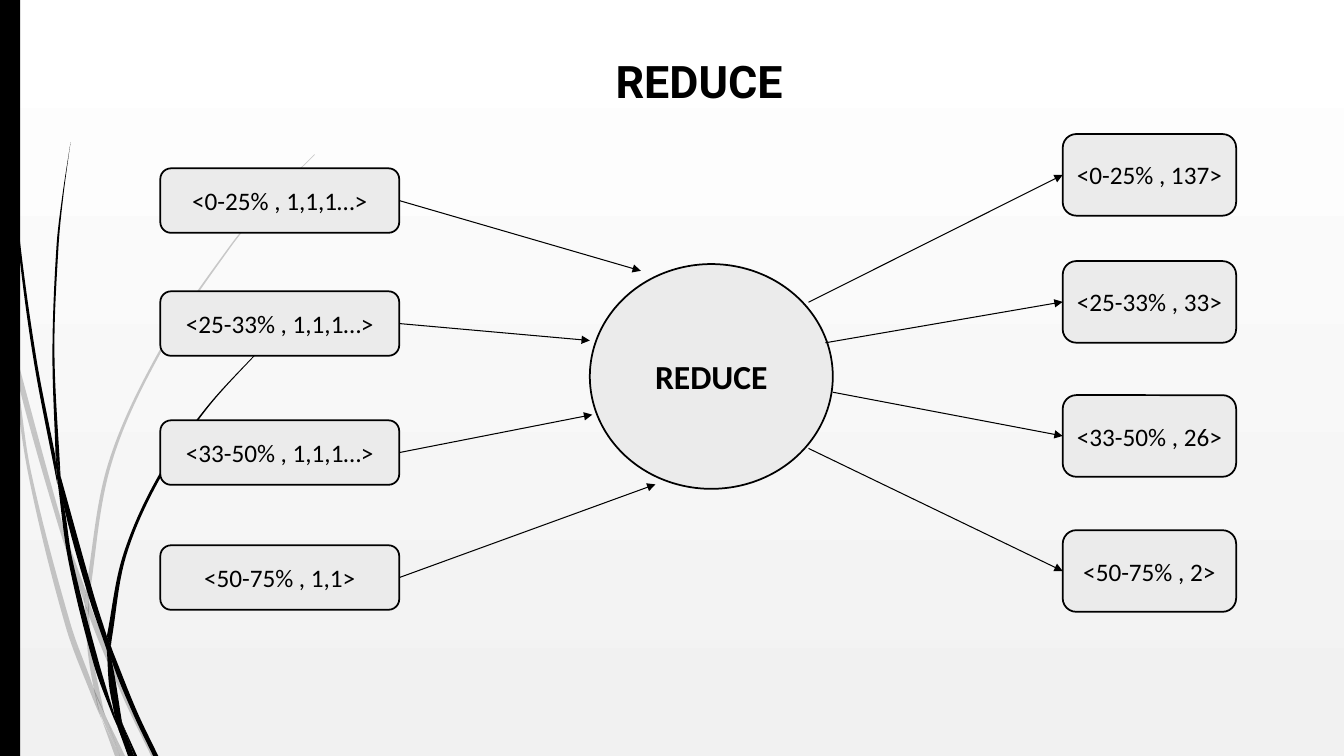
from collections import namedtuple
from dataclasses import dataclass
from math import dist

from lxml.etree import SubElement
from pptx import Presentation
from pptx.dml.color import RGBColor as RGB
from pptx.enum.shapes import MSO_CONNECTOR as Connector, MSO_SHAPE as Preset
from pptx.enum.text import MSO_ANCHOR as Anchor, PP_ALIGN as Align
from pptx.oxml.ns import qn
from pptx.util import Inches, Pt

Box = namedtuple("Box", "left top width height")


@dataclass(frozen=True)
class Theme:
    ink = RGB(0x00, 0x00, 0x00)
    panel = RGB(0xEB, 0xEB, 0xEB)
    sky = RGB(0xFF, 0xFF, 0xFF)
    ground = RGB(0xF1, 0xF1, 0xF1)
    title_font, body_font = "Roboto", "Calibri"
    title_size, hub_size, pair_size = Pt(32), Pt(24), Pt(18)
    outline, arrow = Pt(1.25), Pt(0.75)
    pale_opacity = 20


THEME = Theme()
SLIDE = Box(0, 0, 13.33, 7.5)
TITLE = Box(5.04, 0.48, 3.79, 0.64)
HUB = Box(5.85, 2.62, 2.41, 2.23)
INPUTS = Box(1.59, 1.67, 2.37, 4.38)
OUTPUTS = Box(10.54, 1.33, 1.72, 4.74)

# Each pair: text, offset from the column top, arrow contact as shares of the hub
INPUT_PAIRS = [
    ("<0-25% , 1,1,1…>", 0, (0.21, 0.03)),
    ("<25-33% , 1,1,1…>", 1.22, (0, 0.34)),
    ("<33-50% , 1,1,1…>", 2.5, (0.01, 0.67)),
    ("<50-75% , 1,1>", 3.74, (0.27, 0.98)),
]
OUTPUT_PAIRS = [
    ("<0-25% , 137>", 0, (0.9, 0.17)),
    ("<25-33% , 33>", 1.26, (0.97, 0.35)),
    ("<33-50% , 26>", 2.59, (1, 0.57)),
    ("<50-75% , 2>", 3.93, (0.9, 0.82)),
]

# Each piece of grass: its left edge and its right edge, from tip to root
PALE_GRASS = [
    ([(0, 2.99), (0.1, 3.44), (0.11, 3.5)], [(0, 2.82), (0.09, 3.22), (0.11, 3.5)]),
    ([(0.14, 3.45), (0.17, 3.76), (0.58, 5.22), (0.84, 5.99)], [(0.14, 3.45), (0.62, 5.2), (0.85, 5.86)]),
    ([(0.88, 5.96), (0.88, 6.1), (1.23, 6.94), (1.5, 7.5)],
     [(0.88, 5.96), (0.92, 6.07), (1.27, 6.92), (1.55, 7.5)]),
    ([(1.05, 7.11), (1.19, 7.5)], [(1.05, 7.11), (1.24, 7.5)]),
    ([(0.11, 3.5), (0.28, 4.7), (0.65, 6.21), (0.92, 6.93), (1.01, 7.14)],
     [(0.11, 3.5), (0.17, 3.76), (0.31, 4.69), (0.7, 6.19), (0.93, 6.83), (0.99, 7.07)]),
    ([(0.84, 5.99), (0.87, 6.46), (0.93, 6.83), (0.96, 6.92), (1.05, 7.11)],
     [(0.84, 5.99), (0.88, 6.08), (0.91, 6.46), (1.03, 7.06)]),
    ([(3.12, 1.53), (2.68, 1.97), (2.28, 2.44), (1.58, 3.48), (1.07, 4.61), (0.85, 5.86)],
     [(3.12, 1.54), (2.68, 1.98), (2.29, 2.45), (1.6, 3.49), (1.1, 4.62), (0.88, 5.96)]),
    ([(1.01, 7.14), (1.14, 7.5)], [(1.01, 7.14), (1.19, 7.5)]),
    ([(0.85, 5.86), (0.84, 5.99), (0.88, 6.08)], [(0.85, 5.86), (0.88, 5.96), (0.88, 6.1)]),
    ([(0.93, 6.83), (0.99, 7.07), (1.19, 7.5)], [(0.93, 6.83), (1.05, 7.11), (1.19, 7.5)]),
]
DARK_GRASS = [
    ([(0.03, 0), (0.07, 1.1), (0.17, 2.33), (0.33, 3.55), (0.57, 4.81)],
     [(0.04, 0), (0.08, 1.09), (0.19, 2.32), (0.36, 3.55), (0.55, 4.53)]),
    ([(0.6, 4.72), (0.64, 5.05), (0.88, 5.92), (1.06, 6.45)], [(0.6, 4.72), (0.93, 5.9), (1.06, 6.31)]),
    ([(1.1, 6.41), (1.11, 6.56), (1.32, 7.08), (1.52, 7.5)],
     [(1.1, 6.41), (1.13, 6.49), (1.36, 7.06), (1.57, 7.5)]),
    ([(0.57, 4.77), (0.68, 5.57), (0.93, 6.59), (1.11, 7.08), (1.17, 7.22)],
     [(0.57, 4.77), (0.64, 5.05), (0.72, 5.56), (0.98, 6.57), (1.16, 7.17)]),
    ([(0.7, 1.41), (0.62, 1.93), (0.56, 2.45), (0.52, 3.49), (0.55, 4.49)],
     [(0.7, 1.41), (0.63, 1.93), (0.58, 2.45), (0.54, 3.49), (0.6, 4.72)]),
    ([(1.22, 7.19), (1.33, 7.5)], [(1.22, 7.19), (1.36, 7.5)]),
    ([(0.55, 4.49), (0.57, 4.77), (0.64, 5.05)], [(0.55, 4.49), (0.6, 4.72), (0.64, 5.05)]),
    ([(2.6, 3.44), (2.04, 4.05), (1.56, 4.74), (1.22, 5.51), (1.06, 6.31)],
     [(2.61, 3.44), (2.05, 4.06), (1.58, 4.76), (1.25, 5.52), (1.11, 6.33), (1.1, 6.41)]),
    ([(1.17, 7.22), (1.27, 7.5)], [(1.17, 7.22), (1.31, 7.5)]),
    ([(1.06, 6.45), (1.1, 6.91), (1.22, 7.19)], [(1.06, 6.45), (1.11, 6.56), (1.21, 7.16)]),
    ([(1.06, 6.31), (1.06, 6.45), (1.11, 6.56)], [(1.06, 6.31), (1.1, 6.41), (1.11, 6.56)]),
    ([(1.1, 6.91), (1.17, 7.22), (1.3, 7.5)], [(1.1, 6.91), (1.22, 7.19), (1.33, 7.5)]),
]


def edge_curves(knots):
    """Yield handle, handle, end for each Bézier curve through the knots."""
    padded = [knots[0], *knots, knots[-1]]
    for a, b, c, d in zip(padded, padded[1:], padded[2:], padded[3:]):
        reach = dist(b, c) / 3
        yield (tuple(q + (r - p) * reach / dist(a, c) for p, q, r in zip(a, b, c)),
               tuple(r - (s - q) * reach / dist(b, d) for q, r, s in zip(b, c, d)), c)


def style_text(frame, text, font, size, bold=False):
    frame.text = text
    frame.word_wrap = True
    frame.vertical_anchor = Anchor.MIDDLE
    line = frame.paragraphs[0]
    line.alignment = Align.CENTER
    face = line.runs[0].font
    face.name, face.size, face.bold = font, size, bold
    face.color.rgb = THEME.ink


def fill_plain(shape, color):
    shape.shadow.inherit = False
    shape.fill.solid()
    shape.fill.fore_color.rgb = color
    shape.line.fill.background()


def add_panel(slide, preset, box, text, size, bold=False):
    panel = slide.shapes.add_shape(preset, *map(Inches, box))
    fill_plain(panel, THEME.panel)
    panel.line.color.rgb = THEME.ink
    panel.line.width = THEME.outline
    style_text(panel.text_frame, text, THEME.body_font, size, bold)


def add_arrow(slide, start, end):
    arrow = slide.shapes.add_connector(Connector.STRAIGHT, *map(Inches, (*start, *end)))
    arrow.line.color.rgb = THEME.ink
    arrow.line.width = THEME.arrow
    SubElement(arrow.line._get_or_add_ln(), qn("a:tailEnd"), type="triangle")
    SubElement(arrow._element.spPr, qn("a:effectLst"))


def add_grass(slide, left, right, opacity):
    outline = [(Inches(x), Inches(y)) for x, y in left + right[::-1]]
    builder = slide.shapes.build_freeform(*outline[0])
    builder.add_line_segments(outline[1:], close=True)
    grass = builder.convert_to_shape()
    fill_plain(grass, THEME.ink)
    # Bend the straight sides; the step across the root stays straight
    sides = list(grass._element.iter(qn("a:lnTo")))
    curves = [*edge_curves(left), None, *edge_curves(right[::-1])]
    for side, curve in zip(sides, curves):
        if curve:
            bend = side.makeelement(qn("a:cubicBezTo"))
            for x, y in curve:
                SubElement(bend, qn("a:pt"), x=str(Inches(x) - grass.left), y=str(Inches(y) - grass.top))
            side.getparent().replace(side, bend)
    if opacity < 100:
        color = grass._element.spPr.find(qn("a:solidFill"))[0]
        SubElement(color, qn("a:alpha"), val=str(opacity * 1000))


def add_backdrop(slide, box):
    sky = slide.background.fill
    sky.gradient()
    sky.gradient_angle = 270
    for stop, color in zip(sky.gradient_stops, (THEME.sky, THEME.ground)):
        stop.color.rgb = color
    # Grass and side bar
    for pieces, opacity in ((PALE_GRASS, THEME.pale_opacity), (DARK_GRASS, 100)):
        for left, right in pieces:
            add_grass(slide, left, right, opacity)
    bar = slide.shapes.add_shape(Preset.RECTANGLE, *map(Inches, (box.left, box.top, 0.2, box.height)))
    fill_plain(bar, THEME.ink)


def add_title(slide, box):
    title = slide.shapes.title
    title.left, title.top, title.width, title.height = map(Inches, box)
    style_text(title.text_frame, "REDUCE", THEME.title_font, THEME.title_size, bold=True)


def add_pairs(slide, box, pairs, hub, into_hub):
    """Stack the key-value boxes and join each one to the hub."""
    height = box.height - pairs[-1][1]
    for text, offset, (across, down) in pairs:
        pair = Box(box.left, box.top + offset, box.width, height)
        add_panel(slide, Preset.ROUNDED_RECTANGLE, pair, text, THEME.pair_size)
        contact = (hub.left + across * hub.width, hub.top + down * hub.height)
        middle = pair.top + height / 2
        if into_hub:
            add_arrow(slide, (box.left + box.width, middle), contact)
        else:
            add_arrow(slide, contact, (box.left, middle))


def main():
    deck = Presentation()
    deck.slide_width, deck.slide_height = Inches(SLIDE.width), Inches(SLIDE.height)
    slide = deck.slides.add_slide(deck.slide_layouts[5])
    add_backdrop(slide, SLIDE)
    add_title(slide, TITLE)
    add_panel(slide, Preset.OVAL, HUB, "REDUCE", THEME.hub_size, bold=True)
    add_pairs(slide, INPUTS, INPUT_PAIRS, HUB, into_hub=True)
    add_pairs(slide, OUTPUTS, OUTPUT_PAIRS, HUB, into_hub=False)
    deck.save("out.pptx")


if __name__ == "__main__":
    main()
